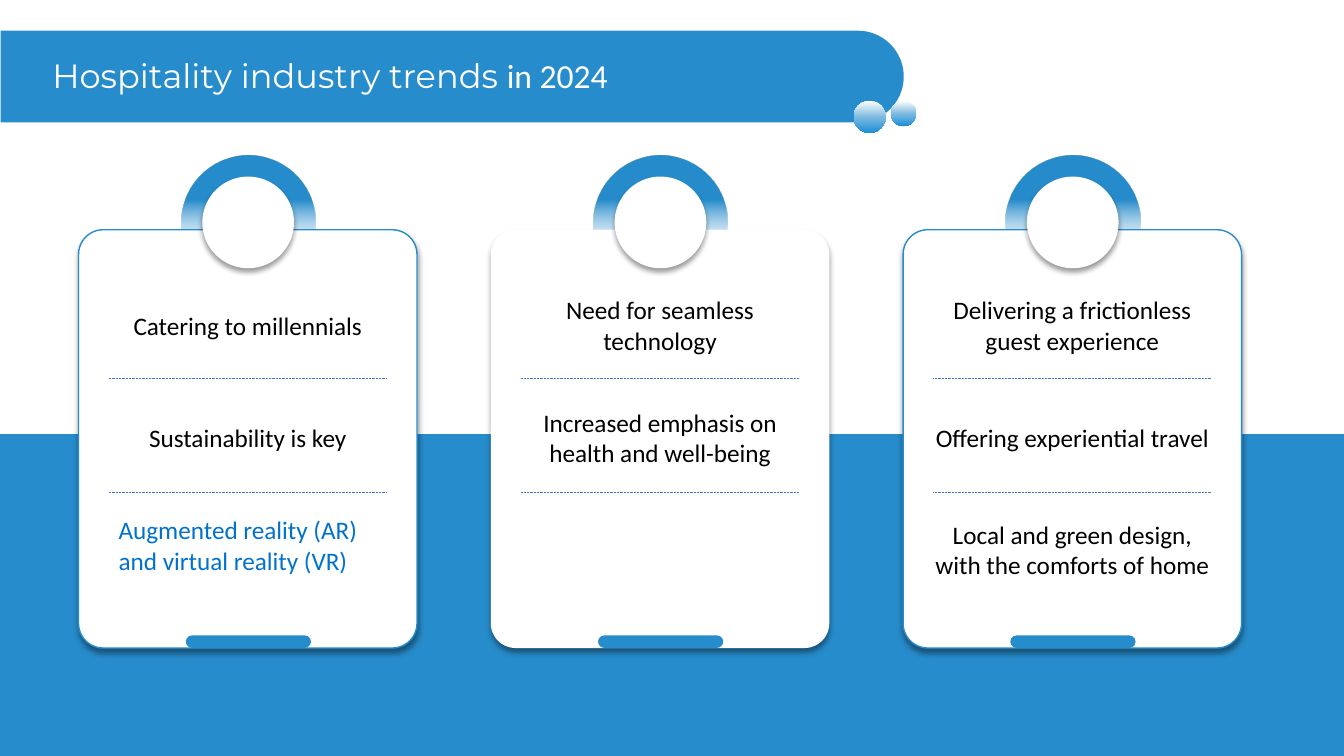
"""Build a slide with three cards of hospitality industry trends."""
from lxml import etree
from pptx import Presentation
from pptx.dml.color import RGBColor
from pptx.enum.dml import MSO_LINE
from pptx.enum.shapes import MSO_CONNECTOR, MSO_SHAPE
from pptx.enum.text import MSO_ANCHOR, PP_ALIGN
from pptx.oxml.ns import qn
from pptx.util import Cm, Pt

OVAL = MSO_SHAPE.OVAL
ROUNDED = MSO_SHAPE.ROUNDED_RECTANGLE
RECTANGLE = MSO_SHAPE.RECTANGLE
HEADER_SHAPE = MSO_SHAPE.ROUND_2_SAME_RECTANGLE
STRAIGHT = MSO_CONNECTOR.STRAIGHT
DOTTED = MSO_LINE.ROUND_DOT
LEFT, CENTER = PP_ALIGN.LEFT, PP_ALIGN.CENTER
MIDDLE, BOTTOM = MSO_ANCHOR.MIDDLE, MSO_ANCHOR.BOTTOM

COLORS = {
    "blue": "278CCB",
    "white": "FFFFFF",
    "black": "000000",
    "accent": "0072CE",
    "divider": "4472C4",
    "light": "7FBBE0",
    "bright": "1B8FD7",
}
RING_STOPS = [(0, "blue", 100), (33, "blue", 100), (76, "white", 12)]
BUBBLE_STOPS = [(0, "white", 100), (50, "light", 100), (100, "bright", 100)]

CARD_LEFTS = [1.98 + 10.39 * column for column in range(3)]
ROW_TOPS = [7.29, 10.13, 12.95]
DIVIDER_TOPS = [9.53, 12.4]
TRENDS = [
    ["Catering to millennials", "Sustainability is key"],
    ["Need for seamless technology", "Increased emphasis on health and well-being"],
    ["Delivering a frictionless guest experience", "Offering experiential travel",
     "Local and green design, with the comforts of home"],
]

presentation = Presentation()
presentation.slide_width = Cm(33.87)
presentation.slide_height = Cm(19.05)
slide = presentation.slides.add_slide(presentation.slide_layouts[6])


def add_shape(kind, left, top, width, height, fill="blue", stops=None, line=None,
              corners=(), shadow=False):
    shape = slide.shapes.add_shape(kind, Cm(left), Cm(top), Cm(width), Cm(height))
    for index, corner in enumerate(corners):
        shape.adjustments[index] = corner
    if stops:
        shape.fill.gradient()
        shape.fill.gradient_angle = 270
        stop_list = shape.fill._xPr.find(qn("a:gradFill")).find(qn("a:gsLst"))
        stop_list.clear()
        for position, color, opacity in stops:
            stop = etree.SubElement(stop_list, qn("a:gs"), pos=str(position * 1000))
            tint = etree.SubElement(stop, qn("a:srgbClr"), val=COLORS[color])
            etree.SubElement(tint, qn("a:alpha"), val=str(opacity * 1000))
    else:
        shape.fill.solid()
        shape.fill.fore_color.rgb = RGBColor.from_string(COLORS[fill])
    if line:
        shape.line.color.rgb = RGBColor.from_string(COLORS[line])
        shape.line.width = Pt(1)
    else:
        shape.line.fill.background()
    shape.shadow.inherit = False
    if shadow:
        effects = shape._element.spPr.find(qn("a:effectLst"))
        outer = etree.SubElement(effects, qn("a:outerShdw"), blurRad=str(Pt(4)),
                                 dist=str(Pt(3)), dir="5400000", algn="t", rotWithShape="0")
        tint = etree.SubElement(outer, qn("a:srgbClr"), val=COLORS["black"])
        etree.SubElement(tint, qn("a:alpha"), val="40000")
    return shape


def add_text(runs, left, top, width, height, size=18, color="black", align=CENTER,
             anchor=MIDDLE, inset=0, spacing=None):
    box = slide.shapes.add_textbox(Cm(left), Cm(top), Cm(width), Cm(height))
    frame = box.text_frame
    frame.word_wrap = True
    frame.vertical_anchor = anchor
    frame.margin_left = frame.margin_right = Cm(inset)
    frame.margin_top = frame.margin_bottom = Cm(inset / 2)
    paragraph = frame.paragraphs[0]
    paragraph.alignment = align
    paragraph.line_spacing = spacing
    for text, font in runs:
        run = paragraph.add_run()
        run.text = text
        run.font.name = font
        run.font.size = Pt(size)
        run.font.color.rgb = RGBColor.from_string(COLORS[color])


for card_left in CARD_LEFTS:
    add_shape(OVAL, card_left + 2.59, 3.91, 3.38, 3.38, stops=RING_STOPS)

header = add_shape(HEADER_SHAPE, 10.24, -9.45, 2.31, 22.76, corners=(0.5, 0))
header.rotation = 90
add_shape(RECTANGLE, 0, 10.94, 33.87, 8.11)

add_text([("Hospitality industry trends ", "Montserrat"), ("in 2024", "Calibri")],
         1.07, 1.32, 19.35, 1.22, size=24, color="white", align=LEFT, anchor=BOTTOM,
         inset=0.25, spacing=0.9)
add_shape(OVAL, 21.51, 2.54, 0.81, 0.81, stops=BUBBLE_STOPS)
add_shape(OVAL, 22.45, 2.54, 0.64, 0.64, stops=BUBBLE_STOPS)

for card_left, border, trends in zip(CARD_LEFTS, ("blue", None, "blue"), TRENDS):
    add_shape(ROUNDED, card_left, 5.79, 8.53, 10.54, fill="white", line=border,
              corners=(0.073,), shadow=True)
    add_shape(OVAL, card_left + 3.12, 4.45, 2.31, 2.31, fill="white", shadow=True)
    add_shape(ROUNDED, card_left + 2.72, 16.03, 3.12, 0.28, line="blue", corners=(0.5,))
    content_left = card_left + 0.76
    for trend, row_top in zip(trends, ROW_TOPS):
        add_text([(trend, "Calibri")], content_left, row_top, 7.01, 1.8)
    for divider_top in DIVIDER_TOPS:
        divider = slide.shapes.add_connector(STRAIGHT, Cm(content_left), Cm(divider_top),
                                             Cm(content_left + 7.01), Cm(divider_top))
        divider.line.color.rgb = RGBColor.from_string(COLORS["divider"])
        divider.line.width = Pt(0.5)
        divider.line.dash_style = DOTTED
        etree.SubElement(divider._element.spPr, qn("a:effectLst"))

add_text([("Augmented reality (AR) and virtual reality (VR)", "Calibri")],
         CARD_LEFTS[0] + 0.76, 12.83, 7.01, 1.8, color="accent", align=LEFT, inset=0.25)

presentation.save("out.pptx")
